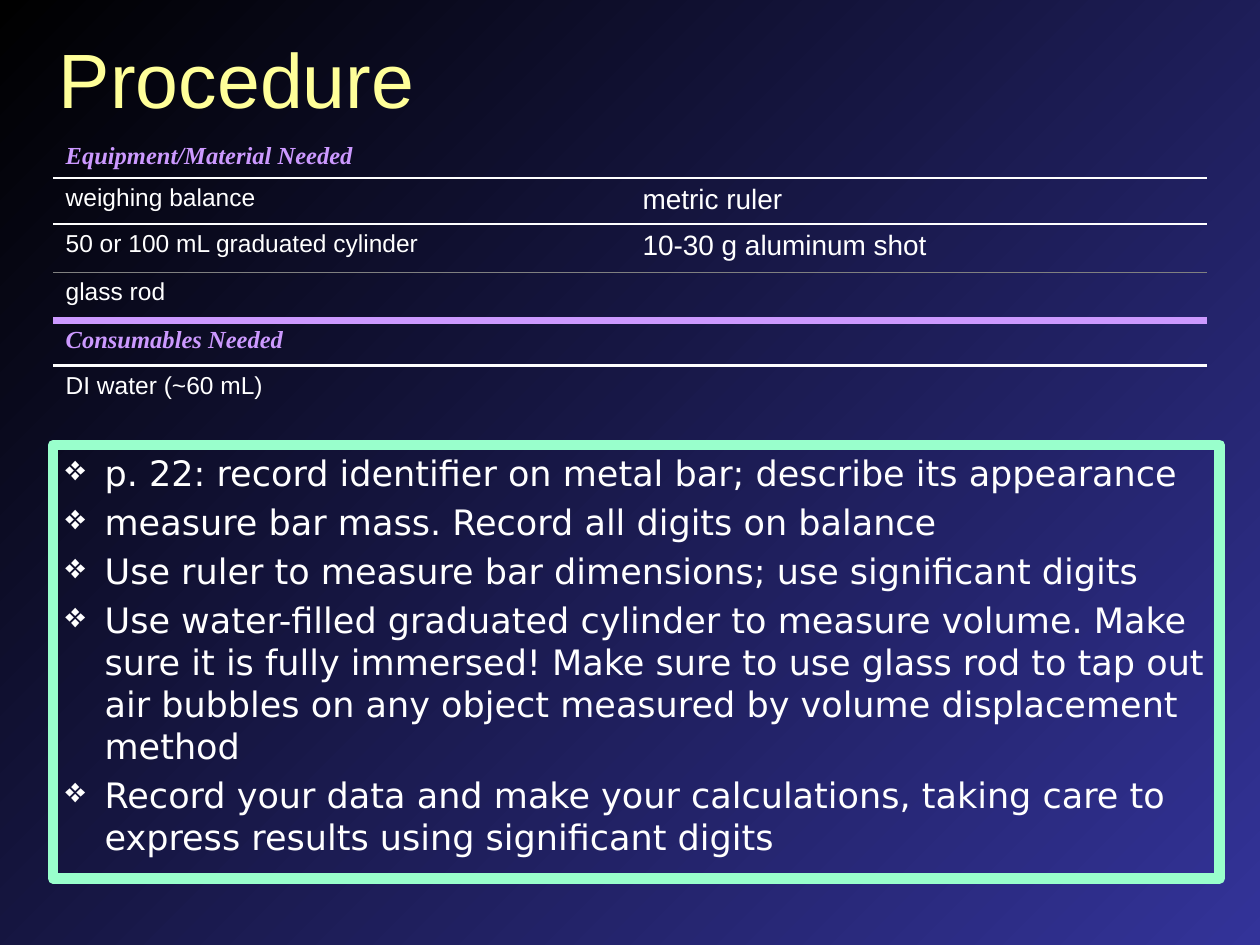
"""Build the lab procedure slide with its equipment table and list of steps."""
from lxml import etree
from pptx import Presentation
from pptx.dml.color import RGBColor
from pptx.enum.shapes import MSO_SHAPE
from pptx.enum.text import MSO_ANCHOR, PP_ALIGN
from pptx.oxml.ns import qn
from pptx.util import Cm, Pt

RECTANGLE = MSO_SHAPE.RECTANGLE
TOP, MIDDLE = MSO_ANCHOR.TOP, MSO_ANCHOR.MIDDLE
LEFT = PP_ALIGN.LEFT
COLORS = {
    "black": "000000", "navy": "333399", "yellow": "FFFF99", "white": "FFFFFF",
    "mint": "99FFCC", "violet": "CC99FF", "gray": "808080",
}


def write(paragraph, text, size=14, font="Arial", color="white", heading=False, bullet=None):
    paragraph.alignment = LEFT
    if bullet:
        properties = paragraph._p.get_or_add_pPr()
        properties.set("marL", str(Cm(0.79)))
        properties.set("indent", str(-Cm(0.79)))
        etree.SubElement(properties, qn("a:buChar"), char=bullet)
    run = paragraph.add_run()
    run.text = text
    run.font.size = Pt(size)
    run.font.name = font
    run.font.bold = run.font.italic = heading
    run.font.color.rgb = RGBColor.from_string(COLORS[color])


def set_border(cell, position, side, border):
    line = etree.Element(qn(f"a:ln{side}"))
    if border:
        color, width = border
        line.set("w", str(Pt(width)))
        fill = etree.SubElement(line, qn("a:solidFill"))
        etree.SubElement(fill, qn("a:srgbClr"), val=COLORS[color])
    else:
        etree.SubElement(line, qn("a:noFill"))
    cell._tc.get_or_add_tcPr().insert(position, line)


presentation = Presentation()
presentation.slide_width, presentation.slide_height = Cm(25.4), Cm(19.05)
slide = presentation.slides.add_slide(presentation.slide_layouts[6])

background = slide.background.fill
background.gradient()
background.gradient_angle = 315
for stop, color in zip(background.gradient_stops, ("black", "navy")):
    stop.color.rgb = RGBColor.from_string(COLORS[color])

title = slide.shapes.add_textbox(Cm(0.94), Cm(0.51), Cm(23.39), Cm(2.13))
title.text_frame.word_wrap = True
title.text_frame.vertical_anchor = MIDDLE
write(title.text_frame.paragraphs[0], "Procedure", size=44, color="yellow")

steps = [
    "p. 22: record identifier on metal bar; describe its appearance",
    "measure bar mass. Record all digits on balance",
    "Use ruler to measure bar dimensions; use significant digits",
    "Use water-filled graduated cylinder to measure volume. Make sure it is fully immersed! "
    "Make sure to use glass rod to tap out air bubbles on any object measured by volume "
    "displacement method",
    "Record your data and make your calculations, taking care to express results using "
    "significant digits",
]
steps_box = slide.shapes.add_shape(RECTANGLE, Cm(1.07), Cm(8.97), Cm(23.52), Cm(8.74))
steps_box.shadow.inherit = False
steps_box.fill.background()
steps_box.line.color.rgb = RGBColor.from_string(COLORS["mint"])
steps_box.line.width = Pt(6)
frame = steps_box.text_frame
frame.word_wrap = True
frame.vertical_anchor = TOP
for index, step in enumerate(steps):
    paragraph = frame.add_paragraph() if index else frame.paragraphs[0]
    if index:
        paragraph.space_before = Pt(4)
    write(paragraph, step, size=20, font="DejaVu Sans", bullet="❖")

rows = [
    ("Equipment/Material Needed", "", 0.79, ("white", 1)),
    ("weighing balance", "metric ruler", 0.89, ("white", 1)),
    ("50 or 100 mL graduated cylinder", "10-30 g aluminum shot", 0.97, ("gray", 1)),
    ("glass rod", "", 0.97, ("violet", 4.5)),
    ("Consumables Needed", "", 0.91, ("white", 1.5)),
    ("DI water (~60 mL)", "", 1.04, None),
]
table_frame = slide.shapes.add_table(len(rows), 2, Cm(1.07), Cm(2.74), Cm(23.26), Cm(5.57))
table = table_frame.table
table.first_row = table.horz_banding = False
border_above = None
for row_index, (item, second_item, height, border_below) in enumerate(rows):
    table.rows[row_index].height = Cm(height)
    heading = item.endswith("Needed")
    for column_index, text in enumerate((item, second_item)):
        cell = table.cell(row_index, column_index)
        cell.fill.background()
        borders = (("L", None), ("R", None), ("T", border_above), ("B", border_below))
        for position, (side, border) in enumerate(borders):
            set_border(cell, position, side, border)
        paragraph = cell.text_frame.paragraphs[0]
        if not text:
            etree.SubElement(paragraph._p, qn("a:endParaRPr"), sz="1400")
        elif heading:
            write(paragraph, text, font="Times New Roman", color="violet", heading=True)
        else:
            write(paragraph, text, size=16 if column_index else 14)
    if heading:
        table.cell(row_index, 0).merge(table.cell(row_index, 1))
    border_above = border_below

presentation.save("out.pptx")
